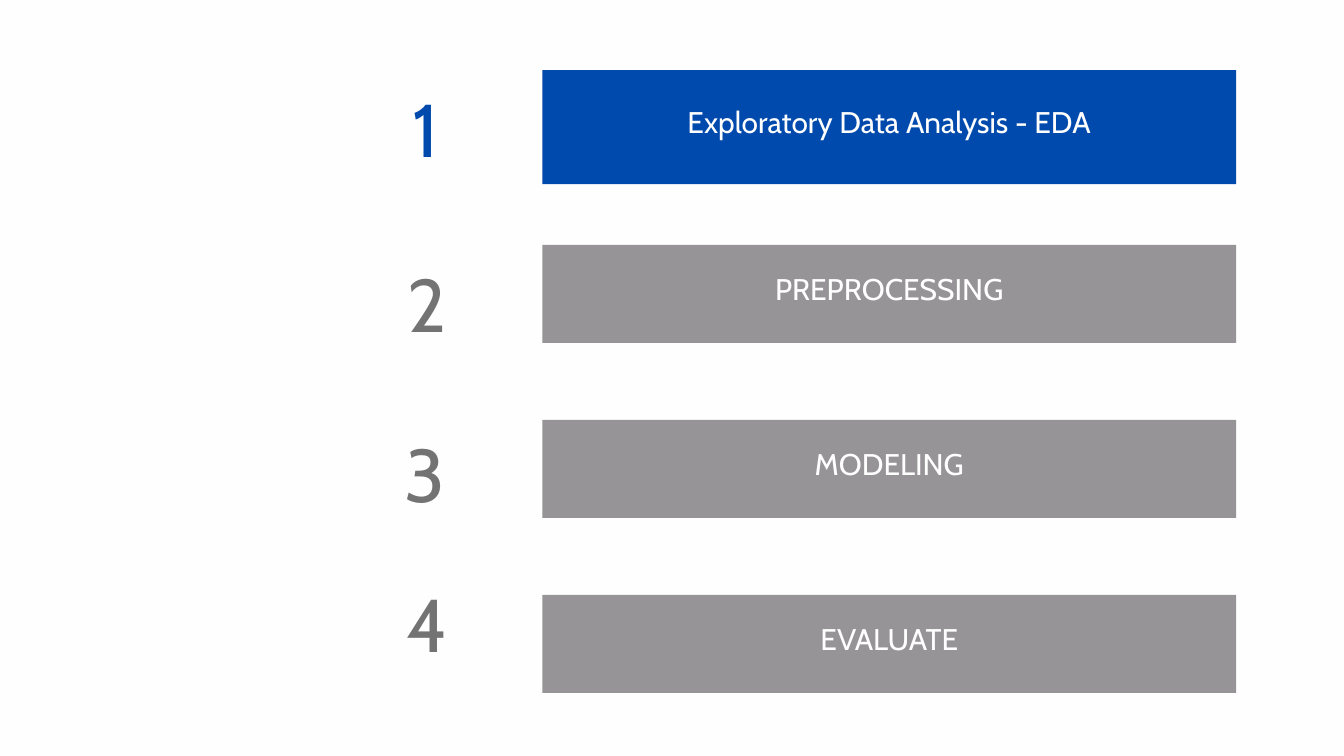
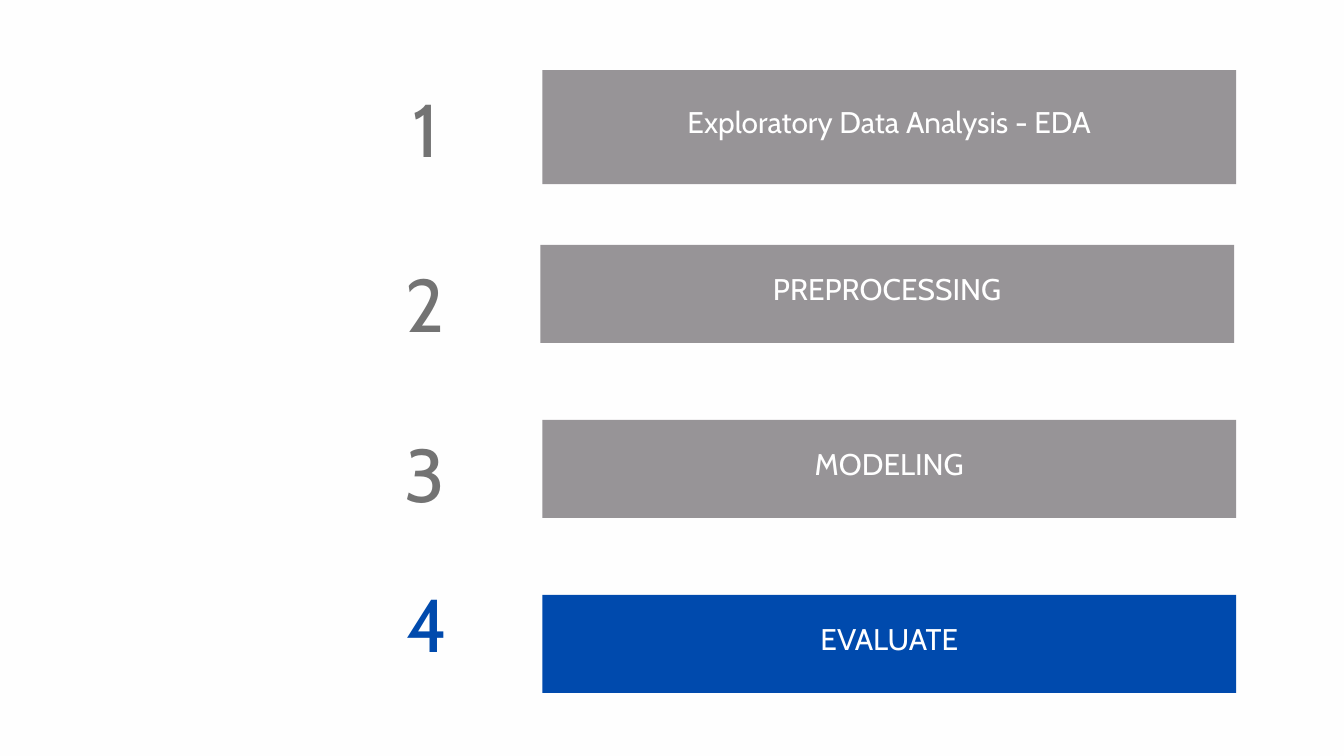
from dataclasses import dataclass

from pptx import Presentation
from pptx.dml.color import RGBColor
from pptx.enum.shapes import MSO_SHAPE as Shape
from pptx.enum.text import MSO_ANCHOR as Anchor, MSO_AUTO_SIZE as AutoSize, PP_ALIGN as Align
from pptx.util import Pt

PX = 9525
SLIDE_WIDTH, SLIDE_HEIGHT = 1920, 1080

BACKGROUND = RGBColor(0xFE, 0xFE, 0xFE)
ACTIVE = RGBColor(0x00, 0x4A, 0xAD)
IDLE_BAR = RGBColor(0x97, 0x94, 0x97)
IDLE_NUMBER = RGBColor(0x73, 0x73, 0x73)
WHITE = RGBColor(0xFF, 0xFF, 0xFF)

FONT = "Cabin"
LINE_FACTOR = 1.4

STEPS_LEFT, STEPS_TOP, STEP_PITCH = 576, 100, 250
BAR_OFFSET, BAR_WIDTH = 199, 991
LABEL_RISE = 23
NUMBER_HEIGHT = 144


@dataclass
class Step:
    label: str
    bar_height: int
    number_left: int
    number_rise: int
    number_width: int


STEPS = [
    Step("Exploratory Data Analysis - EDA", 163, 4, 3, 57),
    Step("PREPROCESSING", 140, 5, 3, 59),
    Step("MODELING", 140, 0, 10, 61),
    Step("EVALUATE", 140, 2, 46, 64),
]


def px(*lengths):
    return [length * PX for length in lengths]


def add_text(shapes, box, text, size, color, inset=0):
    frame = shapes.add_textbox(*px(*box)).text_frame
    frame.word_wrap = True
    frame.margin_left = frame.margin_top = frame.margin_right = frame.margin_bottom = inset * PX
    paragraph = frame.paragraphs[0]
    paragraph.text = text
    paragraph.alignment = Align.CENTER
    paragraph.line_spacing = Pt(size * LINE_FACTOR)
    paragraph.font.name = FONT
    paragraph.font.size = Pt(size)
    paragraph.font.color.rgb = color
    return frame


def add_bar(slide, left, top, step, color):
    """Group a filled bar with its label, whose box starts above the bar."""
    shapes = slide.shapes.add_group_shape().shapes
    bar = shapes.add_shape(Shape.RECTANGLE, *px(left, top, BAR_WIDTH, step.bar_height))
    bar.shadow.inherit = False
    bar.fill.solid()
    bar.fill.fore_color.rgb = color
    bar.line.fill.background()
    label_box = (left, top - LABEL_RISE, BAR_WIDTH, step.bar_height + LABEL_RISE)
    frame = add_text(shapes, label_box, step.label, 32, WHITE, inset=6)
    frame.vertical_anchor = Anchor.MIDDLE


def add_number(slide, left, top, number, step, color):
    box = (left + step.number_left, top - step.number_rise, step.number_width, NUMBER_HEIGHT)
    frame = add_text(slide.shapes, box, str(number), 80, color)
    frame.auto_size = AutoSize.SHAPE_TO_FIT_TEXT


def add_agenda_slide(presentation, active_number, shifts):
    """Add the step list; shifts maps a step number to its sideways offset."""
    slide = presentation.slides.add_slide(presentation.slide_layouts[6])
    slide.background.fill.solid()
    slide.background.fill.fore_color.rgb = BACKGROUND
    for number, step in enumerate(STEPS, start=1):
        left = STEPS_LEFT + shifts.get(number, 0)
        top = STEPS_TOP + (number - 1) * STEP_PITCH
        is_active = number == active_number
        add_bar(slide, left + BAR_OFFSET, top, step, ACTIVE if is_active else IDLE_BAR)
        add_number(slide, left, top, number, step, ACTIVE if is_active else IDLE_NUMBER)


def main():
    presentation = Presentation()
    presentation.slide_width, presentation.slide_height = px(SLIDE_WIDTH, SLIDE_HEIGHT)
    add_agenda_slide(presentation, active_number=1, shifts={})
    add_agenda_slide(presentation, active_number=4, shifts={2: -3})
    presentation.save("out.pptx")


if __name__ == "__main__":
    main()
